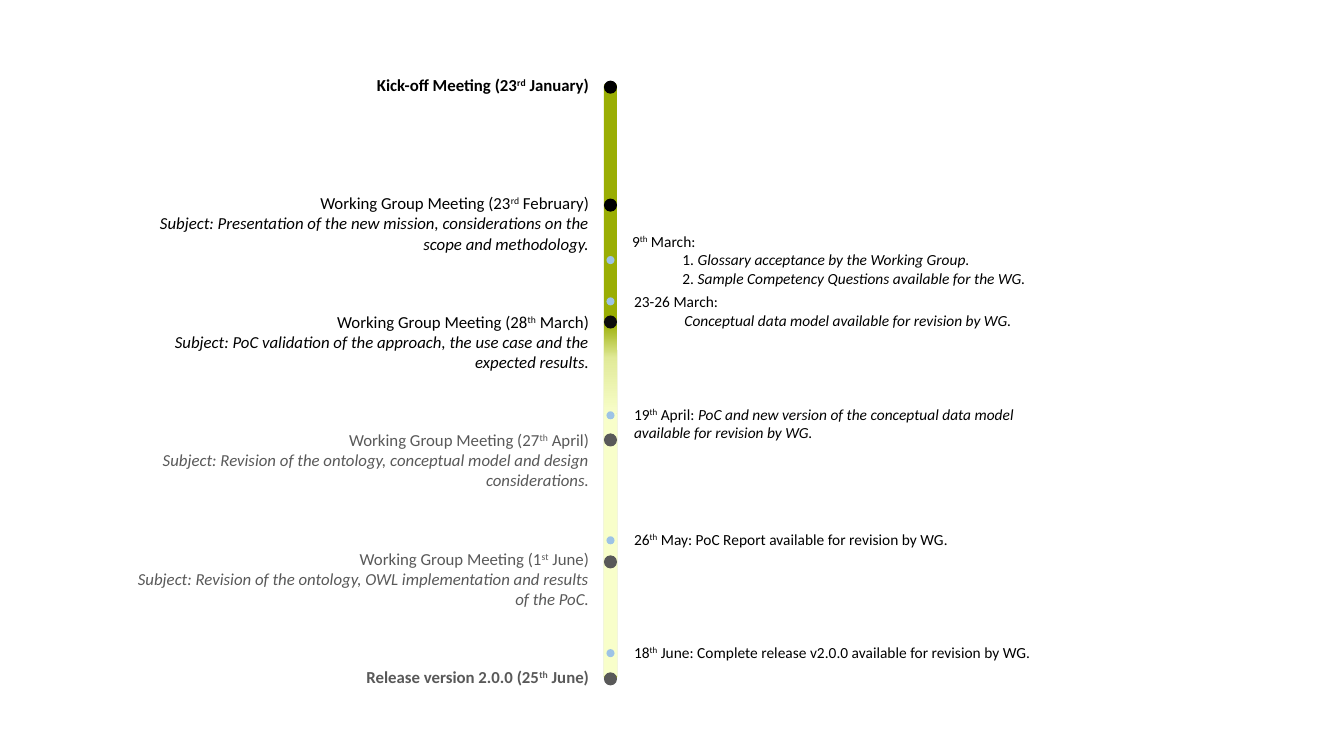
from copy import deepcopy

from pptx import Presentation
from pptx import util as u
from pptx.dml.color import RGBColor
from pptx.enum import shapes, text

BLACK = RGBColor(0x00, 0x00, 0x00)
NEAR_BLACK = RGBColor(0x0D, 0x0D, 0x0D)
GREY = RGBColor(0x59, 0x59, 0x59)
OLIVE = RGBColor(0x9A, 0xAE, 0x04)
LIME = RGBColor(0xE1, 0xEA, 0x99)
PALE = RGBColor(0xF8, 0xFE, 0xCA)
BLUE = RGBColor(0x9D, 0xC3, 0xE6)

CELL = 0.1  # grid pitch in inches, for columns and rows
AXIS = 60.55  # column of the timeline's centre
BAR_WIDTH = 1.3
MEETING_TOP, MEETING_STEP = 6.9, 11.75

# Text between ^ marks is superscript, between * marks italic.
# Meetings: dot row, colour, bold, paragraphs
MEETINGS = [
    (8.0, BLACK, True, ["Kick-off Meeting (23^rd^ January)"]),
    (19.7, BLACK, False, [
        "Working Group Meeting (23^rd^ February)",
        "*Subject: Presentation of the new mission, considerations on the scope and methodology.*"]),
    (31.3, NEAR_BLACK, False, [
        "Working Group Meeting (28^th^ March)",
        "*Subject: PoC validation of the approach, the use case and the expected results.*"]),
    (43.0, GREY, False, [
        "Working Group Meeting (27^th^ April)",
        "*Subject: Revision of the ontology, conceptual model and design considerations.*"]),
    (55.1, GREY, False, [
        "Working Group Meeting (1^st^ June)",
        "*Subject: Revision of the ontology, OWL implementation and results of the PoC.*"]),
    (66.7, GREY, True, ["Release version 2.0.0 (25^th^ June)"]),
]

# Deliverables: dot row, text column, text row, columns, paragraphs
DELIVERABLES = [
    (25.4, 61.7, 22.5, 48.1, [
        "9^th^ March:",
        "1. *Glossary acceptance by the Working Group.*",
        "2. *Sample Competency Questions available for the WG.*"]),
    (29.5, 61.9, 28.5, 48.1, [
        "23-26 March:",
        "*Conceptual data model available for revision by WG.*"]),
    (40.8, 61.9, 39.7, 42.4, [
        "19^th^ April: *PoC and new version of the conceptual data model available for revision by WG.*"]),
    (53.2, 61.9, 52.1, 42.4, ["26^th^ May: PoC Report available for revision by WG*.*"]),
    (64.4, 61.9, 63.3, 42.4, ["18^th^ June: Complete release v2.0.0 available for revision by WG."]),
]


class TimelineSlide:
    font_name = "Calibri"

    def __init__(self, presentation):
        self.slide = presentation.slides.add_slide(presentation.slide_layouts[6])

    def place(self, *cells):
        return [u.Inches(cell * CELL) for cell in cells]

    def add_solid(self, kind, column, row, columns, rows, colour):
        shape = self.slide.shapes.add_shape(kind, *self.place(column, row, columns, rows))
        shape.shadow.inherit = False
        shape.fill.solid()
        shape.fill.fore_color.rgb = colour
        shape.line.fill.background()
        return shape

    def add_bar(self, row, rows, colour):
        return self.add_solid(shapes.MSO_SHAPE.ROUNDED_RECTANGLE,
                              AXIS - BAR_WIDTH / 2, row, BAR_WIDTH, rows, colour)

    def add_fading_bar(self, row, rows, stops):
        fill = self.add_bar(row, rows, stops[0][1]).fill
        fill.gradient()
        fill.gradient_angle = 270
        stop_list = fill._xPr.xpath("./a:gradFill/a:gsLst")[0]
        stop_list.append(deepcopy(stop_list[-1]))
        for stop, (position, colour) in zip(fill.gradient_stops, stops):
            stop.position = position
            stop.color.rgb = colour

    def add_dot(self, row, size, colour):
        self.add_solid(shapes.MSO_SHAPE.OVAL, AXIS - size / 2, row, size, size, colour)

    def add_text(self, column, row, columns, rows, paragraphs, font, align, indent=0):
        box = self.slide.shapes.add_textbox(*self.place(column, row, columns, rows))
        frame = box.text_frame
        frame.word_wrap = True
        frame.auto_size = text.MSO_AUTO_SIZE.SHAPE_TO_FIT_TEXT
        for number, content in enumerate(paragraphs):
            paragraph = frame.add_paragraph() if number else frame.paragraphs[0]
            paragraph.alignment = align
            if number and indent:
                paragraph.level = 1
                properties = paragraph._p.get_or_add_pPr()
                properties.set("marL", str(u.Inches(indent)))
                properties.set("indent", "0")
            self.add_runs(paragraph, content, font)

    def add_runs(self, paragraph, content, font):
        for i, part in enumerate(content.split("*")):
            for j, piece in enumerate(part.split("^")):
                if not piece:
                    continue
                run = paragraph.add_run()
                run.text = piece
                style = {"name": self.font_name, "italic": i % 2 == 1, **font}
                colour = style.pop("colour")
                for name, value in style.items():
                    setattr(run.font, name, value)
                run.font.color.rgb = colour
                if j % 2:
                    run._r.get_or_add_rPr().set("baseline", "30000")


def main():
    presentation = Presentation()
    presentation.slide_width = u.Inches(13.33)
    presentation.slide_height = u.Inches(7.5)
    timeline = TimelineSlide(presentation)

    # Timeline bar: done, still to come, and the fade between them
    timeline.add_bar(8.3, 59.1, OLIVE)
    timeline.add_bar(31.75, 35.4, PALE)
    timeline.add_fading_bar(32, 9.1, [(0, OLIVE), (0.39, LIME), (1, PALE)])

    # Meetings on the left
    for index, (dot_row, colour, bold, paragraphs) in enumerate(MEETINGS):
        timeline.add_dot(dot_row, 1.3, colour)
        font = {"size": u.Pt(12), "bold": bold, "colour": GREY if colour == GREY else BLACK}
        timeline.add_text(11.3, MEETING_TOP + index * MEETING_STEP, 48.1,
                          3 if len(paragraphs) == 1 else 7.1,
                          paragraphs, font, text.PP_ALIGN.RIGHT)

    # Deliverables on the right
    for dot_row, column, row, columns, paragraphs in DELIVERABLES:
        timeline.add_dot(dot_row, 0.8, BLUE)
        rows = 1 + 1.85 * max(len(paragraphs), len(paragraphs[0]) // 60)
        timeline.add_text(column, row, columns, rows, paragraphs,
                          {"size": u.Pt(11), "colour": BLACK}, text.PP_ALIGN.LEFT, indent=0.5)

    presentation.save("out.pptx")


if __name__ == "__main__":
    main()
